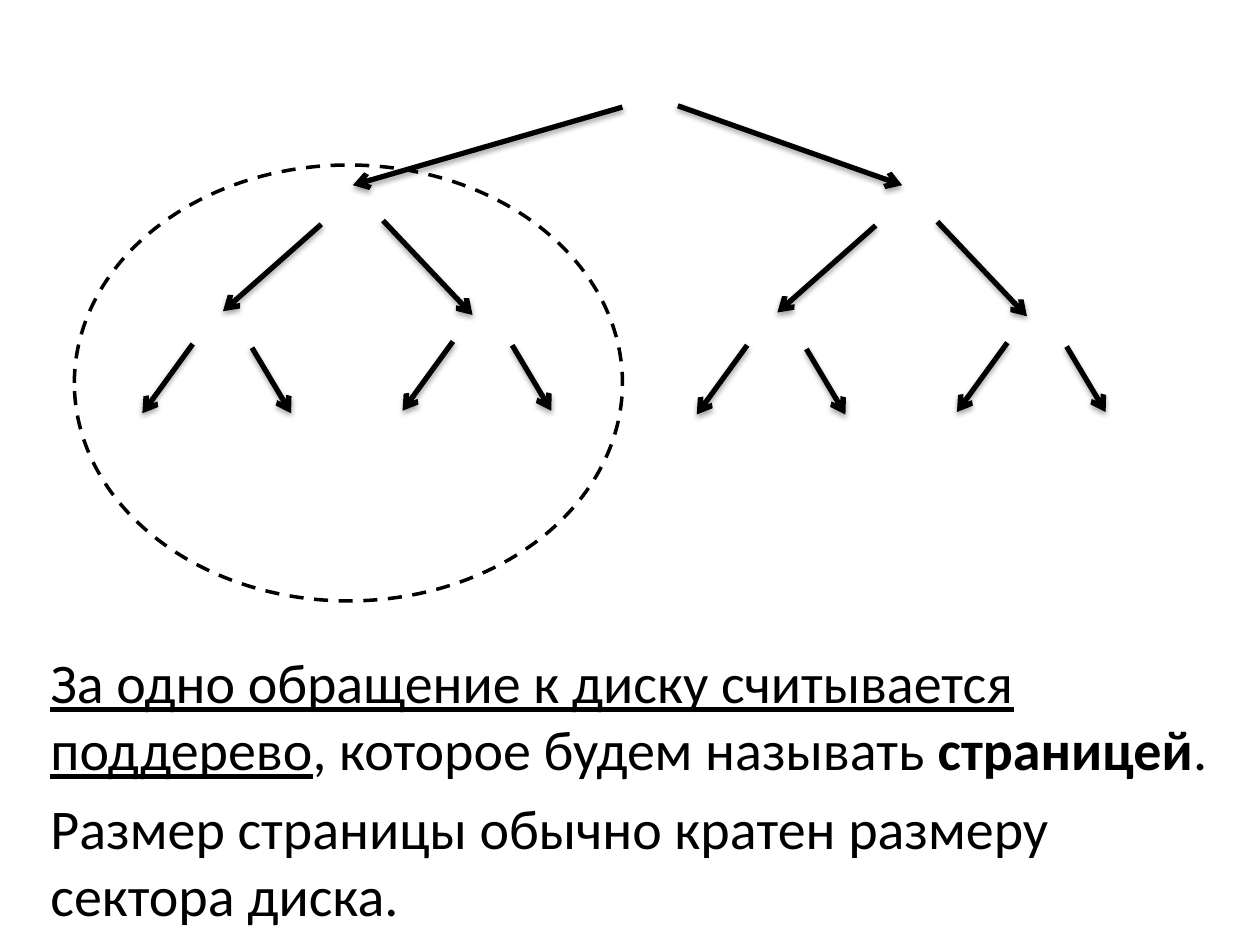
"""Build a slide showing a binary tree whose left subtree forms one disk page."""
from typing import NamedTuple

from lxml.etree import SubElement
from pptx import Presentation
from pptx.dml.color import RGBColor
from pptx.enum.dml import MSO_LINE
from pptx.enum.shapes import MSO_CONNECTOR, MSO_SHAPE
from pptx.enum.text import MSO_AUTO_SIZE
from pptx.oxml import parse_xml
from pptx.oxml.ns import nsdecls, qn
from pptx.slide import Slide
from pptx.util import Inches, Pt

BLACK = RGBColor(0, 0, 0)
WIDTH, HEIGHT = Inches(10), Inches(7.5)
COLUMNS, ROWS = 100, 75
SHADOW = (
    f'<a:effectLst {nsdecls("a")}>'
    '<a:outerShdw blurRad="40000" dist="23000" dir="5400000" rotWithShape="0">'
    '<a:srgbClr val="000000"><a:alpha val="35000"/></a:srgbClr>'
    '</a:outerShdw></a:effectLst>'
)


class Branch(NamedTuple):
    """An arrow from parent to child, in grid columns and rows."""
    from_column: float
    from_row: float
    to_column: float
    to_row: float

    def shifted(self, columns: float, rows: float) -> "Branch":
        """Return the same branch moved across the grid."""
        return Branch(self.from_column + columns, self.from_row + rows,
                      self.to_column + columns, self.to_row + rows)


class Phrase(NamedTuple):
    """A piece of text with its emphasis."""
    wording: str
    underline: bool = False
    bold: bool = False


ROOT_BRANCHES = [Branch(49.4, 8.5, 28, 14.7), Branch(53.8, 8.4, 71.6, 14.7)]
PAGE_BRANCHES = [Branch(25.5, 17.8, 17.7, 24.7), Branch(30.4, 17.5, 37.5, 25)]
LEAF_BRANCHES = [Branch(15.3, 27.3, 11.3, 32.8), Branch(20, 27.6, 23.1, 32.8)]
LEAF_SHIFTS = [(0, 0), (20.65, -0.2)]
PAGE_SHIFTS = [(0, 0), (44, 0.1)]
EXPLANATION = [
    [Phrase("За одно обращение к диску считывается поддерево", underline=True),
     Phrase(", которое будем называть "),
     Phrase("страницей", bold=True),
     Phrase(".")],
    [Phrase("Размер страницы обычно кратен размеру сектора диска.")],
]


def across(columns: float) -> int:
    """Convert grid columns to a slide length."""
    return round(WIDTH * columns / COLUMNS)


def down(rows: float) -> int:
    """Convert grid rows to a slide length."""
    return round(HEIGHT * rows / ROWS)


def draw_branch(slide: Slide, branch: Branch) -> None:
    """Draw one shadowed arrow of the tree."""
    arrow = slide.shapes.add_connector(
        MSO_CONNECTOR.STRAIGHT,
        across(branch.from_column), down(branch.from_row),
        across(branch.to_column), down(branch.to_row))
    arrow.line.width = Pt(3)
    arrow.line.color.rgb = BLACK
    SubElement(arrow.line._get_or_add_ln(), qn("a:tailEnd"), type="arrow")
    arrow._element.spPr.append(parse_xml(SHADOW))


def draw_tree(slide: Slide) -> None:
    """Draw the root branches and the two equal subtrees."""
    subtree = PAGE_BRANCHES + [
        leaf.shifted(*shift) for shift in LEAF_SHIFTS for leaf in LEAF_BRANCHES]
    halves = [branch.shifted(*shift) for shift in PAGE_SHIFTS for branch in subtree]
    for branch in ROOT_BRANCHES + halves:
        draw_branch(slide, branch)


def draw_page_outline(slide: Slide) -> None:
    """Circle the subtree that is read as one page."""
    outline = slide.shapes.add_shape(
        MSO_SHAPE.OVAL, across(5.9), down(13.1), across(43.5), down(34.6))
    outline.shadow.inherit = False
    outline.fill.background()
    outline.line.color.rgb = BLACK
    outline.line.width = Pt(2)
    outline.line.dash_style = MSO_LINE.DASH


def write_explanation(slide: Slide) -> None:
    """Fill the body placeholder below the tree."""
    body = slide.placeholders[1]
    body.left, body.top = across(3), down(50.9)
    body.width, body.height = across(95.8), down(22)
    frame = body.text_frame
    frame.word_wrap = True
    frame.auto_size = MSO_AUTO_SIZE.NONE
    for index, phrases in enumerate(EXPLANATION):
        paragraph = frame.add_paragraph() if index else frame.paragraphs[0]
        properties = paragraph._p.get_or_add_pPr()
        properties.set("marL", "0")
        properties.set("indent", "0")
        SubElement(properties, qn("a:buNone"))
        paragraph.space_before = Pt(6.4 if index else 0)
        for phrase in phrases:
            run = paragraph.add_run()
            run.text = phrase.wording
            run.font.name = "Calibri"
            run.font.size = Pt(32)
            run.font.color.rgb = BLACK
            run.font.underline = phrase.underline
            run.font.bold = phrase.bold


def main() -> None:
    """Build and save the slide."""
    presentation = Presentation()
    presentation.slide_width, presentation.slide_height = WIDTH, HEIGHT
    slide = presentation.slides.add_slide(presentation.slide_layouts[1])
    empty_title = slide.shapes.title._element
    empty_title.getparent().remove(empty_title)
    write_explanation(slide)
    draw_tree(slide)
    draw_page_outline(slide)
    presentation.save("out.pptx")


if __name__ == "__main__":
    main()
